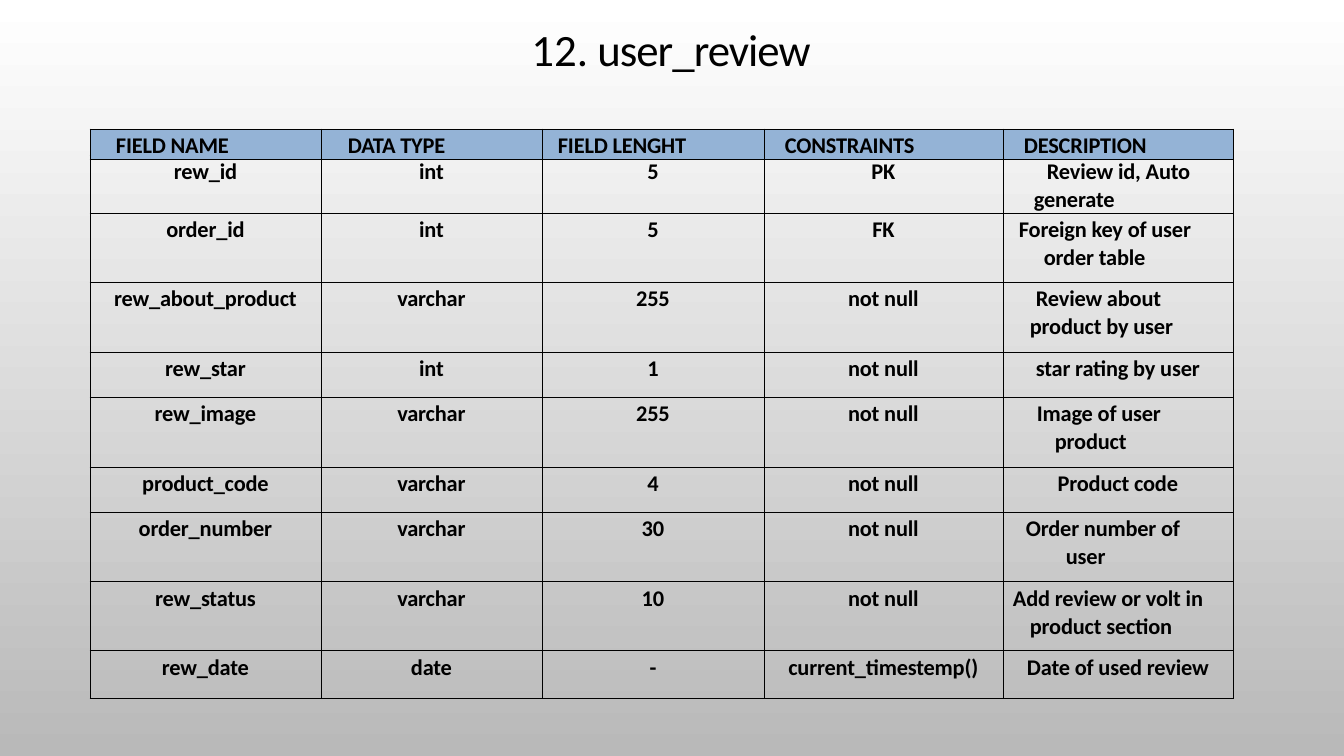
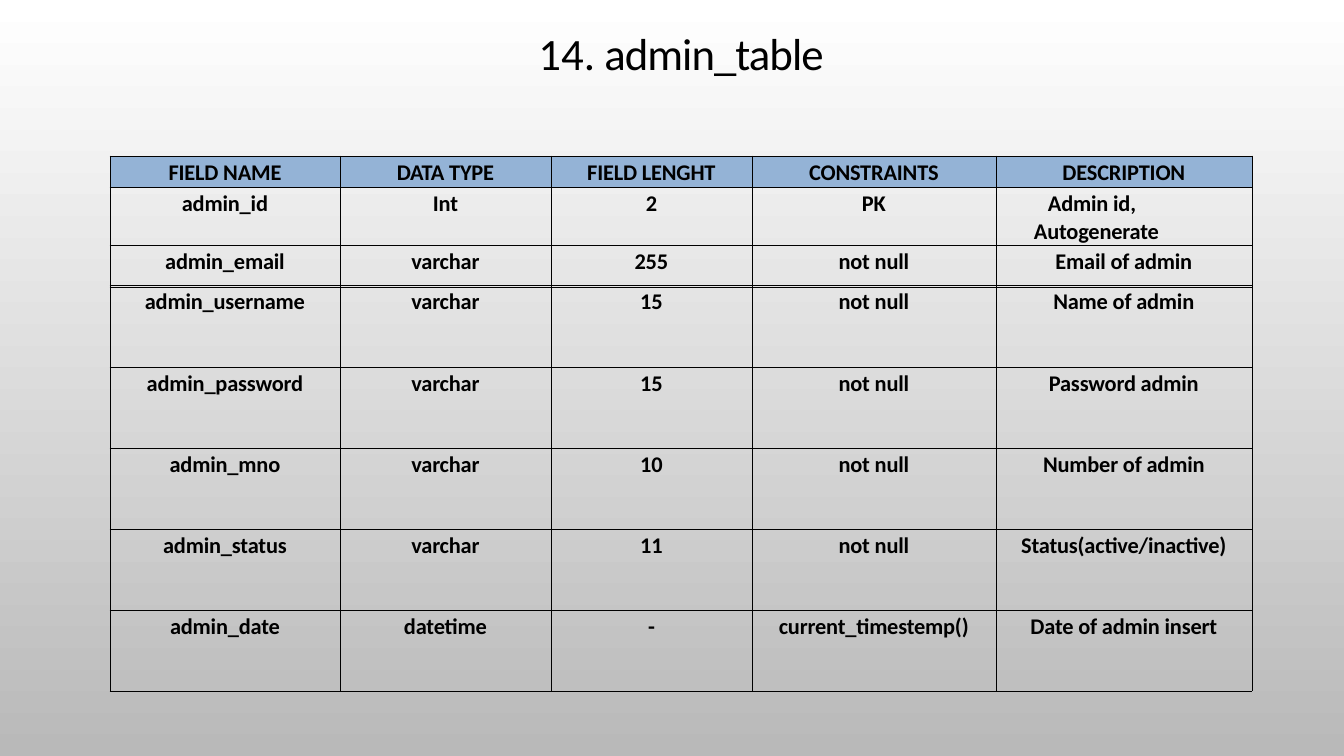
from dataclasses import dataclass

from lxml.etree import SubElement
from pptx import Presentation
from pptx.dml.color import RGBColor
from pptx.enum.text import MSO_ANCHOR, PP_ALIGN
from pptx.oxml.ns import qn
from pptx.presentation import Presentation as Deck
from pptx.slide import Slide
from pptx.table import _Cell
from pptx.util import Emu, Pt

SLIDE_WIDTH, SLIDE_HEIGHT = 1344, 756
EMU_PER_PX = 12192000 / SLIDE_WIDTH

BLACK = RGBColor(0x00, 0x00, 0x00)
WHITE = RGBColor(0xFF, 0xFF, 0xFF)
GREY = RGBColor(0xB9, 0xB9, 0xB9)
HEADER_BLUE = RGBColor(0x94, 0xB3, 0xD6)

FONT = "Calibri"
TITLE_SIZE, CELL_SIZE = Pt(32), Pt(16)
TITLE_TRACKING, CELL_TRACKING = "-70", "-10"
BORDER_WIDTH = Pt(0.5)
CELL_TOP_INSET = 3
WRAP_INSET = 16
TABLE_WIDTH = 1142


def px(length: int) -> Emu:
    return Emu(round(length * EMU_PER_PX))


@dataclass(frozen=True)
class Indented:
    """Left-aligned cell text with a left margin and a first-line offset."""
    text: str
    left: int
    first_line: int = 0


Row = tuple[str | Indented, ...]


@dataclass(frozen=True)
class Grid:
    top: int
    heights: tuple[int, ...]
    rows: tuple[Row, ...]
    has_header: bool = False


@dataclass(frozen=True)
class SchemaSlide:
    number: str
    name: str
    left: int
    title_top: int
    title_height: int
    widths: tuple[int, ...]
    grids: tuple[Grid, ...]


HEADINGS = ("FIELD NAME", "DATA TYPE", "FIELD LENGHT", "CONSTRAINTS", "DESCRIPTION")
HEADING_INDENTS = (26, 27, 16, 21, 21)

USER_REVIEW = SchemaSlide(
    number="12.", name="user_review", left=90, title_top=0, title_height=104,
    widths=(231, 221, 222, 239, 230),
    grids=(
        Grid(155, (58, 69, 70, 45, 70, 45, 70, 69, 48), (
            ("rew_id", "int", "5", "PK",
             Indented("Review id, Auto generate", 31, 13)),
            ("order_id", "int", "5", "FK",
             Indented("Foreign key of user order table", 41, -25)),
            ("rew_about_product", "varchar", "255", "not null",
             Indented("Review about product by user", 27, 6)),
            ("rew_star", "int", "1", "not null", "star rating by user"),
            ("rew_image", "varchar", "255", "not null",
             Indented("Image of user product", 52, -18)),
            ("product_code", "varchar", "4", "not null", "Product code"),
            ("order_number", "varchar", "30", "not null",
             Indented("Order number of user", 63, -40)),
            ("rew_status", "varchar", "10", "not null",
             Indented("Add review or volt in product section", 27, -17)),
            ("rew_date", "date", "-", "current_timestemp()", "Date of used review"),
        )),
        Grid(129, (30,), (tuple(map(Indented, HEADINGS, HEADING_INDENTS)),),
             has_header=True),
    ),
)

ADMIN_TABLE = SchemaSlide(
    number="14.", name="admin_table", left=110, title_top=10, title_height=92,
    widths=(230, 211, 201, 244, 256),
    grids=(
        Grid(156, (31, 58, 42), (
            HEADINGS,
            ("admin_id", "Int", "2", "PK",
             Indented("Admin id, Autogenerate", 38, 14)),
            ("admin_email", "varchar", "255", "not null", "Email of admin"),
        ), has_header=True),
        Grid(285, (82, 81, 81, 81, 81), (
            ("admin_username", "varchar", "15", "not null", "Name of admin"),
            ("admin_password", "varchar", "15", "not null", "Password admin"),
            ("admin_mno", "varchar", "10", "not null", "Number of admin"),
            ("admin_status", "varchar", "11", "not null", "Status(active/inactive)"),
            ("admin_date", "datetime", "-", "current_timestemp()", "Date of admin insert"),
        )),
    ),
)


def set_background(deck: Deck) -> None:
    """Give every slide the vertical white-to-grey gradient of the master."""
    fill = deck.slide_master.background.fill
    fill.gradient()
    fill.gradient_angle = 270
    for stop, position, colour in zip(fill.gradient_stops, (0, 1), (WHITE, GREY)):
        stop.position = position
        stop.color.rgb = colour


def add_title(slide: Slide, schema: SchemaSlide) -> None:
    title = slide.shapes.add_textbox(
        px(schema.left + 10 if schema.title_top == 0 else schema.left),
        px(schema.title_top), px(TABLE_WIDTH), px(schema.title_height))
    frame = title.text_frame
    frame.word_wrap = True
    frame.vertical_anchor = MSO_ANCHOR.MIDDLE
    heading = frame.paragraphs[0]
    heading.alignment = PP_ALIGN.CENTER
    heading.line_spacing = 0.9
    heading.font.name = FONT
    heading.font.size = TITLE_SIZE
    heading.font.color.rgb = BLACK
    heading.add_run().text = schema.number
    name = heading.add_run()
    name.text = f" {schema.name}"
    name._r.get_or_add_rPr().set("spc", TITLE_TRACKING)


def add_borders(cell: _Cell) -> None:
    properties = cell._tc.get_or_add_tcPr()
    for side in ("a:lnL", "a:lnR", "a:lnT", "a:lnB"):
        border = SubElement(properties, qn(side), w=str(BORDER_WIDTH))
        solid = SubElement(border, qn("a:solidFill"))
        SubElement(solid, qn("a:srgbClr"), val=str(BLACK))


def fill_cell(cell: _Cell, content: str | Indented, is_header: bool) -> None:
    add_borders(cell)
    if is_header:
        cell.fill.solid()
        cell.fill.fore_color.rgb = HEADER_BLUE
    else:
        cell.fill.background()
    cell.margin_left = cell.margin_right = cell.margin_bottom = 0
    cell.margin_top = px(CELL_TOP_INSET)

    paragraph = cell.text_frame.paragraphs[0]
    properties = paragraph._p.get_or_add_pPr()
    if isinstance(content, Indented):
        paragraph.text = content.text
        paragraph.alignment = PP_ALIGN.LEFT
        properties.set("marL", str(px(content.left)))
        properties.set("indent", str(px(content.first_line)))
        if not is_header:
            paragraph.line_spacing = 1.02
            cell.margin_right = px(WRAP_INSET)
    else:
        paragraph.text = content
        paragraph.alignment = PP_ALIGN.CENTER
    paragraph.font.name = FONT
    paragraph.font.size = CELL_SIZE
    paragraph.font.bold = True
    paragraph.font.color.rgb = BLACK
    properties.find(qn("a:defRPr")).set("spc", CELL_TRACKING)


def add_grid(slide: Slide, grid: Grid, left: int, widths: tuple[int, ...]) -> None:
    table = slide.shapes.add_table(
        len(grid.rows), len(widths), px(left), px(grid.top),
        px(sum(widths)), px(sum(grid.heights))).table
    table.first_row = table.horz_banding = False
    for column, width in zip(table.columns, widths):
        column.width = px(width)
    for index, (fields, height) in enumerate(zip(grid.rows, grid.heights)):
        table.rows[index].height = px(height)
        for cell, content in zip(table.rows[index].cells, fields):
            fill_cell(cell, content, grid.has_header and index == 0)


def main() -> None:
    deck = Presentation()
    deck.slide_width, deck.slide_height = px(SLIDE_WIDTH), px(SLIDE_HEIGHT)
    set_background(deck)
    blank = deck.slide_layouts[6]
    for schema in (USER_REVIEW, ADMIN_TABLE):
        slide = deck.slides.add_slide(blank)
        add_title(slide, schema)
        for grid in schema.grids:
            add_grid(slide, grid, schema.left, schema.widths)
    deck.save("out.pptx")


if __name__ == "__main__":
    main()
